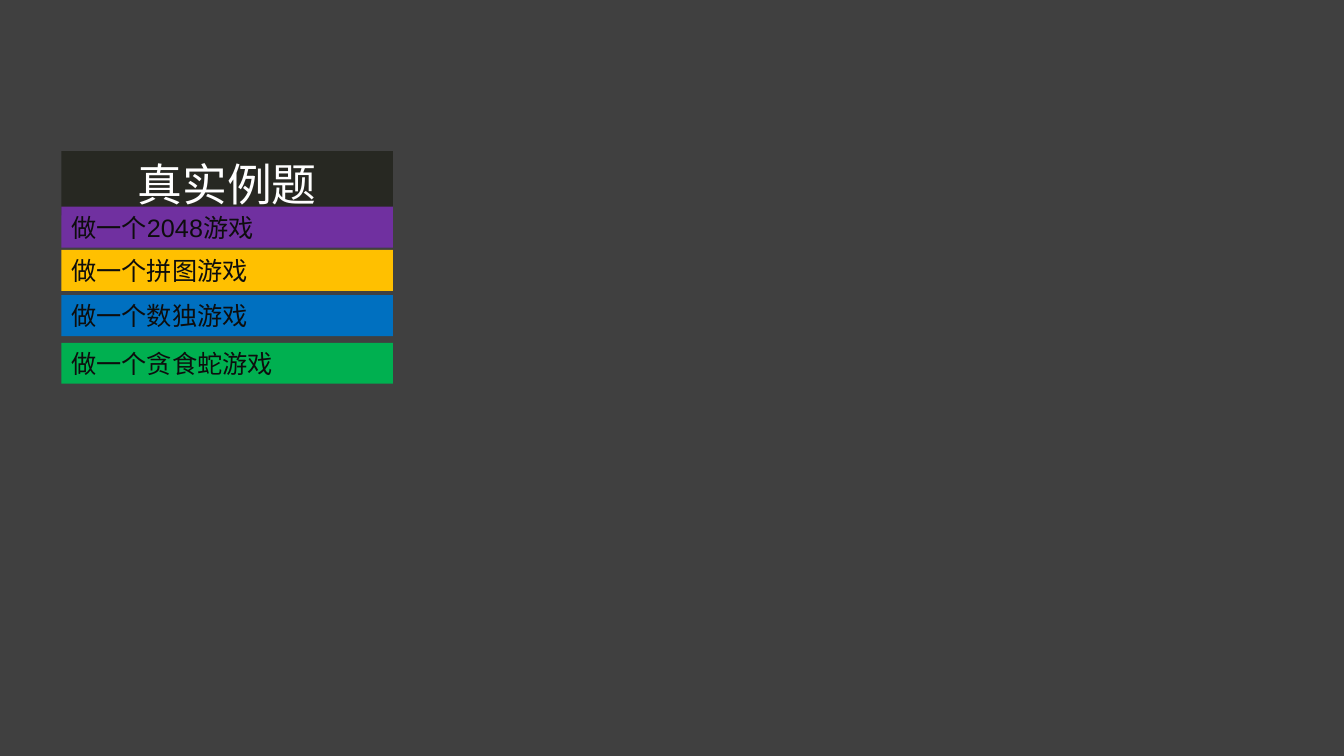
from dataclasses import dataclass

from pptx import Presentation
from pptx.dml.color import RGBColor
from pptx.enum.shapes import MSO_SHAPE
from pptx.enum.text import MSO_ANCHOR, MSO_AUTO_SIZE, PP_ALIGN
from pptx.util import Cm, Pt


@dataclass(frozen=True)
class Theme:
    font: str = "Arial"
    background: str = "404040"
    heading_fill: str = "272822"
    heading_text: str = "FFFFFF"
    heading_size: int = 32
    task_text: str = "0D0D0D"
    task_size: int = 18
    task_fills: tuple = ("7030A0", "FFC000", "0070C0", "00B050")


@dataclass(frozen=True)
class Box:
    left: float
    top: float
    width: float
    height: float


THEME = Theme()
HEADING = "真实例题"
TASKS = ("做一个2048游戏", "做一个拼图游戏", "做一个数独游戏", "做一个贪食蛇游戏")
TASK_OFFSETS = (1.4, 2.49, 3.63, 4.83)
HEADING_HEIGHT = 1.62
TASK_HEIGHT = 1.03


def set_formats(target, formats):
    for name, value in formats.items():
        setattr(target, name, value)


def paint(fill, color):
    fill.solid()
    fill.fore_color.rgb = RGBColor.from_string(color)


def add_bar(page, box, text, fill, color, size, align):
    bar = page.shapes.add_shape(
        MSO_SHAPE.RECTANGLE,
        Cm(box.left), Cm(box.top), Cm(box.width), Cm(box.height),
    )
    bar.shadow.inherit = False
    bar.line.fill.background()
    paint(bar.fill, fill)
    set_formats(bar.text_frame, {
        "word_wrap": True,
        "auto_size": MSO_AUTO_SIZE.SHAPE_TO_FIT_TEXT,
        "vertical_anchor": MSO_ANCHOR.MIDDLE,
    })
    para = bar.text_frame.paragraphs[0]
    para.alignment = align
    span = para.add_run()
    span.text = text
    set_formats(span.font, {"name": THEME.font, "size": Pt(size)})
    span.font.color.rgb = RGBColor.from_string(color)


def add_task_list(page, box):
    heading_box = Box(box.left, box.top, box.width, HEADING_HEIGHT)
    add_bar(page, heading_box, HEADING, THEME.heading_fill,
            THEME.heading_text, THEME.heading_size, PP_ALIGN.CENTER)
    for task, fill, offset in zip(TASKS, THEME.task_fills, TASK_OFFSETS):
        task_box = Box(box.left, box.top + offset, box.width, TASK_HEIGHT)
        add_bar(page, task_box, task, fill,
                THEME.task_text, THEME.task_size, PP_ALIGN.LEFT)


def build_deck():
    deck = Presentation()
    set_formats(deck, {"slide_width": Cm(33.87), "slide_height": Cm(19.05)})
    page = deck.slides.add_slide(deck.slide_layouts[6])
    paint(page.background.fill, THEME.background)
    add_task_list(page, Box(left=1.55, top=3.81, width=8.35, height=5.86))
    return deck


build_deck().save("out.pptx")
